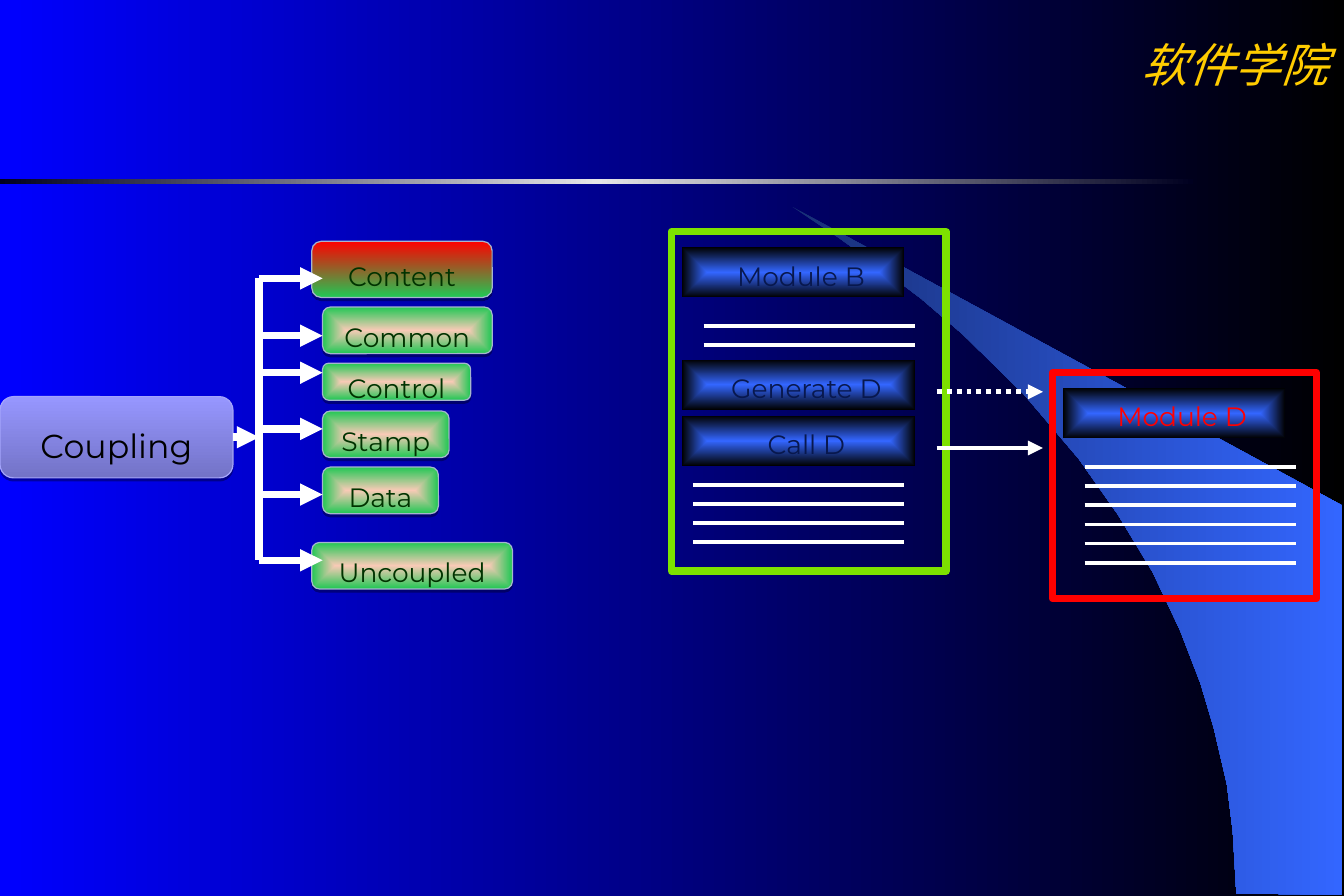
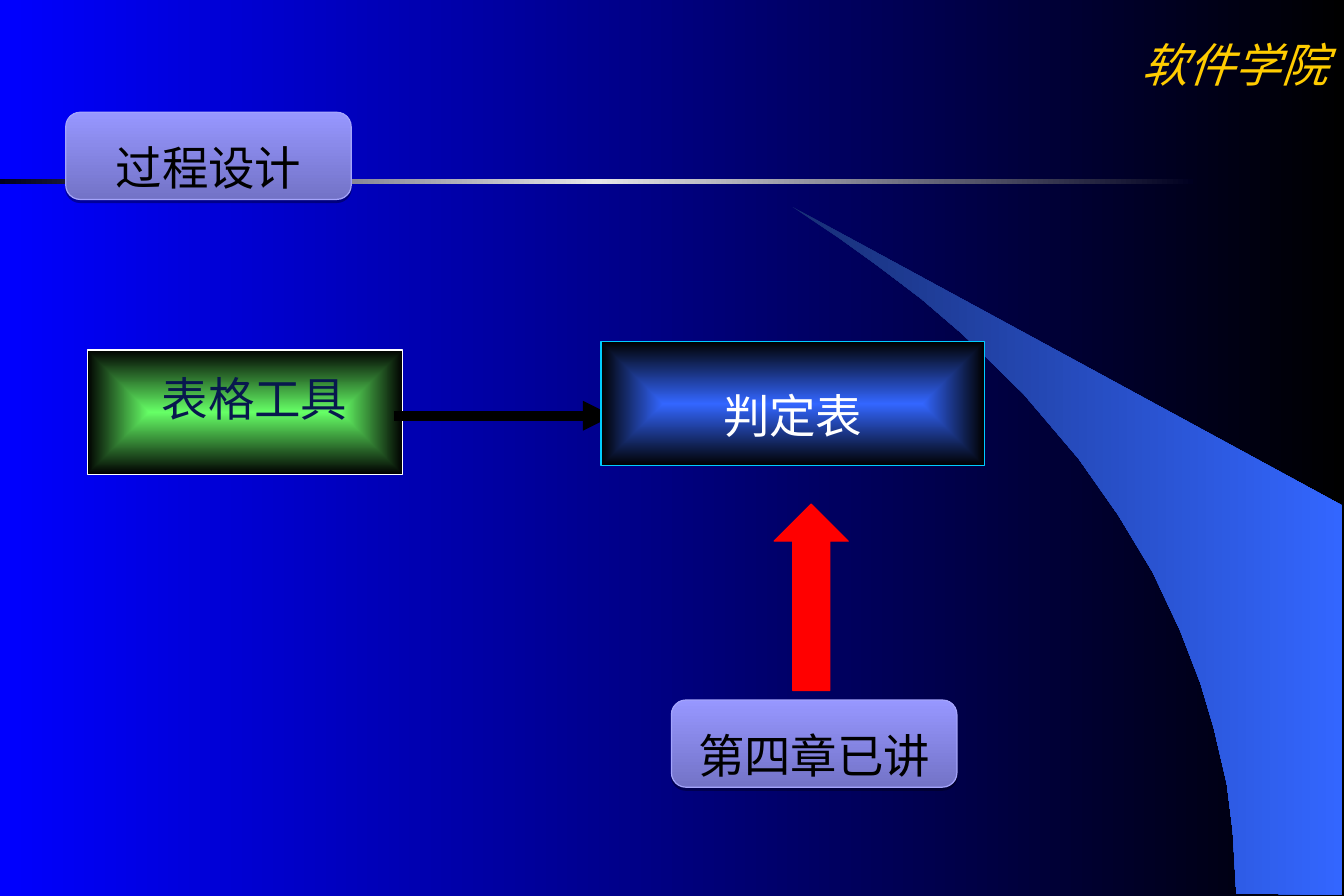
import dataclasses

import pptx
import pptx.dml.color
import pptx.enum.dml
import pptx.enum.shapes
import pptx.enum.text
import pptx.oxml
import pptx.oxml.ns
import pptx.util

Inches = pptx.util.Inches
Pt = pptx.util.Pt
qn = pptx.oxml.ns.qn
Shapes = pptx.enum.shapes.MSO_SHAPE
Anchor = pptx.enum.text.MSO_ANCHOR
Align = pptx.enum.text.PP_ALIGN
NAMESPACE = pptx.oxml.ns.nsdecls("a")


@dataclasses.dataclass(frozen=True)
class Gradient:
    """Evenly spaced colours, at an angle or, without one, from the centre out."""
    colours: tuple
    angle: int | None = None


@dataclasses.dataclass(frozen=True)
class Theme:
    body_font: str = "Montserrat"
    header_font: str = "Times New Roman"
    small: int = 16
    medium: int = 20
    large: int = 28
    hairline: float = 0.75
    thin: float = 2.25
    arrow: float = 3
    thick: float = 4.5
    heavy: float = 6
    white: str = "FFFFFF"
    black: str = "000000"
    red: str = "FF0000"
    lime: str = "7DE100"
    cyan: str = "00CCFF"
    gold: str = "FFCC00"
    navy: str = "08184E"
    dark_green: str = "003300"
    violet_edge: str = "A4A4FB"
    green_edge: str = "A5B5CF"
    background: Gradient = Gradient(("0000FF", "000000"), 0)
    swoosh: Gradient = Gradient(("182F76", "3366FF"), 0)
    rule: Gradient = Gradient(("000020", "E5E5E8", "000020"), 0)
    violet: Gradient = Gradient(("7373C7", "9797FF"), 270)
    alert: Gradient = Gradient(("FF0000", "21C754"), 90)
    mint: Gradient = Gradient(("F8CAB6", "21C754"))
    blue: Gradient = Gradient(("3366FF", "000000"))
    green: Gradient = Gradient(("66FF66", "000000"))


THEME = Theme()

SWOOSH_POINTS = [
    (10.35, 7.48), (11.23, 7.49), (11.23, 4.23), (6.63, 1.73), (7.02, 1.99),
    (7.34, 2.22), (7.71, 2.5), (8.06, 2.8), (8.57, 3.3), (9.03, 3.84),
    (9.36, 4.31), (9.65, 4.79), (9.88, 5.28), (10.05, 5.72), (10.16, 6.09),
    (10.27, 6.56), (10.32, 6.96),
]


def rgb(colour):
    return pptx.dml.color.RGBColor.from_string(colour)


def inches(*lengths):
    return [Inches(length) for length in lengths]


def set_format(target, values):
    for name, value in values.items():
        setattr(target, name, value)


def add_xml(parent, xml):
    """Append xml, whose first tag ends in the mark @ for the namespace."""
    parent.append(pptx.oxml.parse_xml(xml.replace("@", " " + NAMESPACE, 1)))


def paint(fill, element, colour):
    """Fill with a Gradient, a plain colour, or nothing."""
    if colour is None:
        fill.background()
    elif isinstance(colour, str):
        fill.solid()
        fill.fore_color.rgb = rgb(colour)
    else:
        fill.gradient()
        gradient = element.find(".//" + qn("a:gradFill"))
        for child in list(gradient):
            gradient.remove(child)
        last = len(colour.colours) - 1
        stops = "".join(
            f'<a:gs pos="{100000 * index // last}"><a:srgbClr val="{stop}"/></a:gs>'
            for index, stop in enumerate(colour.colours))
        add_xml(gradient, f"<a:gsLst@>{stops}</a:gsLst>")
        if colour.angle is None:
            add_xml(gradient, '<a:path@ path="rect"><a:fillToRect l="50000" t="50000" '
                              'r="50000" b="50000"/></a:path>')
        else:
            add_xml(gradient, f'<a:lin@ ang="{colour.angle * 60000}" scaled="0"/>')


class Deck:
    def __init__(self, theme):
        self.theme = theme
        self.presentation = pptx.Presentation()
        set_format(self.presentation, {"slide_width": Inches(11.25),
                                       "slide_height": Inches(7.5)})
        self.slide = None

    def new_slide(self):
        """Start a slide with the shared background, header, swoosh and rule."""
        theme = self.theme
        self.slide = self.presentation.slides.add_slide(self.presentation.slide_layouts[6])
        paint(self.slide.background.fill, self.slide._element, theme.background)
        header = self.slide.shapes.add_textbox(*inches(9.42, 0.25, 1.83, 0.57))
        self.set_text(header, "软件学院", theme.large, theme.gold, anchor=Anchor.TOP,
                      font=theme.header_font, italic=True)
        points = [inches(*point) for point in SWOOSH_POINTS]
        builder = self.slide.shapes.build_freeform(*points[0])
        builder.add_line_segments(points[1:], close=True)
        self.finish(builder.convert_to_shape(), theme.swoosh)
        self.block((0, 1.5, 9.99, 0.04), theme.rule)

    def finish(self, shape, fill, edge=None, weight=None):
        shape.shadow.inherit = False
        paint(shape.fill, shape._element, fill)
        paint(shape.line.fill, shape._element, edge)
        if edge:
            shape.line.width = Pt(weight or self.theme.hairline)
        return shape

    def block(self, area, fill=None, edge=None, weight=None, kind=Shapes.RECTANGLE):
        shape = self.slide.shapes.add_shape(kind, *inches(*area))
        return self.finish(shape, fill, edge, weight)

    def set_text(self, shape, text, size, colour, insets=(0.1, 0.05, 0.1, 0.05),
                 spacing=1.0, anchor=Anchor.MIDDLE, font=None, italic=False, wrap=True):
        frame = shape.text_frame
        sides = ("margin_left", "margin_top", "margin_right", "margin_bottom")
        set_format(frame, dict(zip(sides, inches(*insets))))
        set_format(frame, {"word_wrap": wrap, "vertical_anchor": anchor})
        paragraph = frame.paragraphs[0]
        set_format(paragraph, {"alignment": Align.CENTER, "line_spacing": spacing})
        run = paragraph.add_run()
        run.text = text
        set_format(run.font, {"name": font or self.theme.body_font, "size": Pt(size),
                              "italic": italic})
        run.font.color.rgb = rgb(colour)

    def pill(self, area, text, size, colour, fill, edge):
        """Rounded label with a short drop shadow."""
        shape = self.block(area, fill, edge, kind=Shapes.ROUNDED_RECTANGLE)
        add_xml(shape._element.spPr.find(qn("a:effectLst")),
                '<a:outerShdw@ blurRad="0" dist="22860" dir="5400000" rotWithShape="0">'
                '<a:srgbClr val="000000"><a:alpha val="35000"/></a:srgbClr></a:outerShdw>')
        self.set_text(shape, text, size, colour, insets=(0, 0, 0, 0), spacing=1.4)
        return shape

    def violet_pill(self, area, text, size):
        theme = self.theme
        return self.pill(area, text, size, theme.black, theme.violet, theme.violet_edge)

    def caption(self, area, text, size, colour):
        """Text box laid over a bevelled block."""
        shape = self.slide.shapes.add_textbox(*inches(*area))
        self.set_text(shape, text, size, colour, insets=(0.1, 0.31, 0.1, 0.04), spacing=0.75)

    def module(self, left, top, width, text, colour):
        """Bevelled block with its caption."""
        self.block((left, top, width, 0.42), self.theme.blue)
        self.caption((left + 0.13, top - 0.05, width - 0.13, 0.36), text,
                     self.theme.small, colour)

    def line(self, start, end, weight, colour=None, arrow=False, dotted=False):
        connector = self.slide.shapes.add_connector(
            pptx.enum.shapes.MSO_CONNECTOR.STRAIGHT, *inches(*start, *end))
        connector.line.color.rgb = rgb(colour or self.theme.white)
        connector.line.width = Pt(weight)
        if dotted:
            connector.line.dash_style = pptx.enum.dml.MSO_LINE.ROUND_DOT
        properties = connector._element.spPr
        if arrow:
            add_xml(properties.find(qn("a:ln")), '<a:tailEnd@ type="triangle"/>')
        add_xml(properties, "<a:effectLst@/>")
        return connector

    def code_lines(self, left, top, count):
        """Evenly spaced rules that stand for lines of code."""
        for index in range(count):
            height = top + 0.16 * index
            self.line((left, height), (left + 1.77, height), self.theme.thin)


def coupling_slide(deck):
    theme = deck.theme
    deck.new_slide()

    coupling = deck.violet_pill((0, 3.32, 1.95, 0.68), "Coupling", theme.medium)
    levels = [
        ("Content", 2.61, 2.02, 1.51, 0.47, 2.33),
        ("Common", 2.7, 2.57, 1.42, 0.39, 2.81),
        ("Control", 2.7, 3.04, 1.24, 0.31, 3.12),
        ("Stamp", 2.7, 3.44, 1.06, 0.39, 3.59),
        ("Data", 2.7, 3.91, 0.97, 0.39, 4.14),
        ("Uncoupled", 2.61, 4.54, 1.68, 0.39, 4.69),
    ]
    trunk = 2.17
    deck.line((trunk, levels[0][-1]), (trunk, levels[-1][-1]), theme.thick)
    stem = deck.line((1.95, 3.66), (trunk, 3.66), theme.thick, arrow=True)
    stem.begin_connect(coupling, 3)
    for text, left, top, width, height, branch in levels:
        fill = theme.alert if text == "Content" else theme.mint
        deck.pill((left, top, width, height), text, theme.small, theme.dark_green,
                  fill, theme.green_edge)
        deck.line((trunk, branch), (2.7, branch), theme.thick, arrow=True)

    deck.module(5.71, 2.07, 1.86, "Module B", theme.navy)
    deck.block((5.62, 1.94, 2.3, 2.84), edge=theme.lime, weight=theme.thick)
    deck.code_lines(5.89, 2.73, 2)
    deck.module(5.71, 3.01, 1.95, "Generate D", theme.navy)
    deck.module(5.71, 3.48, 1.95, "Call D", theme.navy)
    deck.code_lines(5.8, 4.06, 4)

    deck.module(8.9, 3.25, 1.86, "Module D", theme.red)
    deck.block((8.81, 3.12, 2.21, 1.89), edge=theme.red, weight=theme.thick)
    deck.code_lines(9.08, 3.91, 6)

    for height, dotted in ((3.28, True), (3.75, False)):
        deck.line((7.84, height), (8.73, height), theme.arrow, arrow=True, dotted=dotted)


def process_design_slide(deck):
    theme = deck.theme
    deck.new_slide()
    deck.violet_pill((0.55, 0.94, 2.39, 0.73), "过程设计", theme.large)
    deck.block((0.73, 2.93, 2.64, 1.04), theme.green, theme.white)
    deck.caption((0.9, 2.81, 2.46, 0.87), "表格工具", theme.large, theme.navy)
    deck.line((3.3, 3.48), (5.13, 3.48), theme.heavy, theme.black, arrow=True)
    decision_table = deck.block((5.03, 2.86, 3.21, 1.04), theme.blue, theme.cyan)
    deck.set_text(decision_table, "判定表", theme.large, theme.white, spacing=1.4, wrap=False)
    deck.block((6.48, 4.22, 0.62, 1.56), theme.red, theme.red, kind=Shapes.UP_ARROW)
    deck.violet_pill((5.62, 5.86, 2.39, 0.73), "第四章已讲", theme.large)


def main():
    deck = Deck(THEME)
    coupling_slide(deck)
    process_design_slide(deck)
    deck.presentation.save("out.pptx")


if __name__ == "__main__":
    main()
